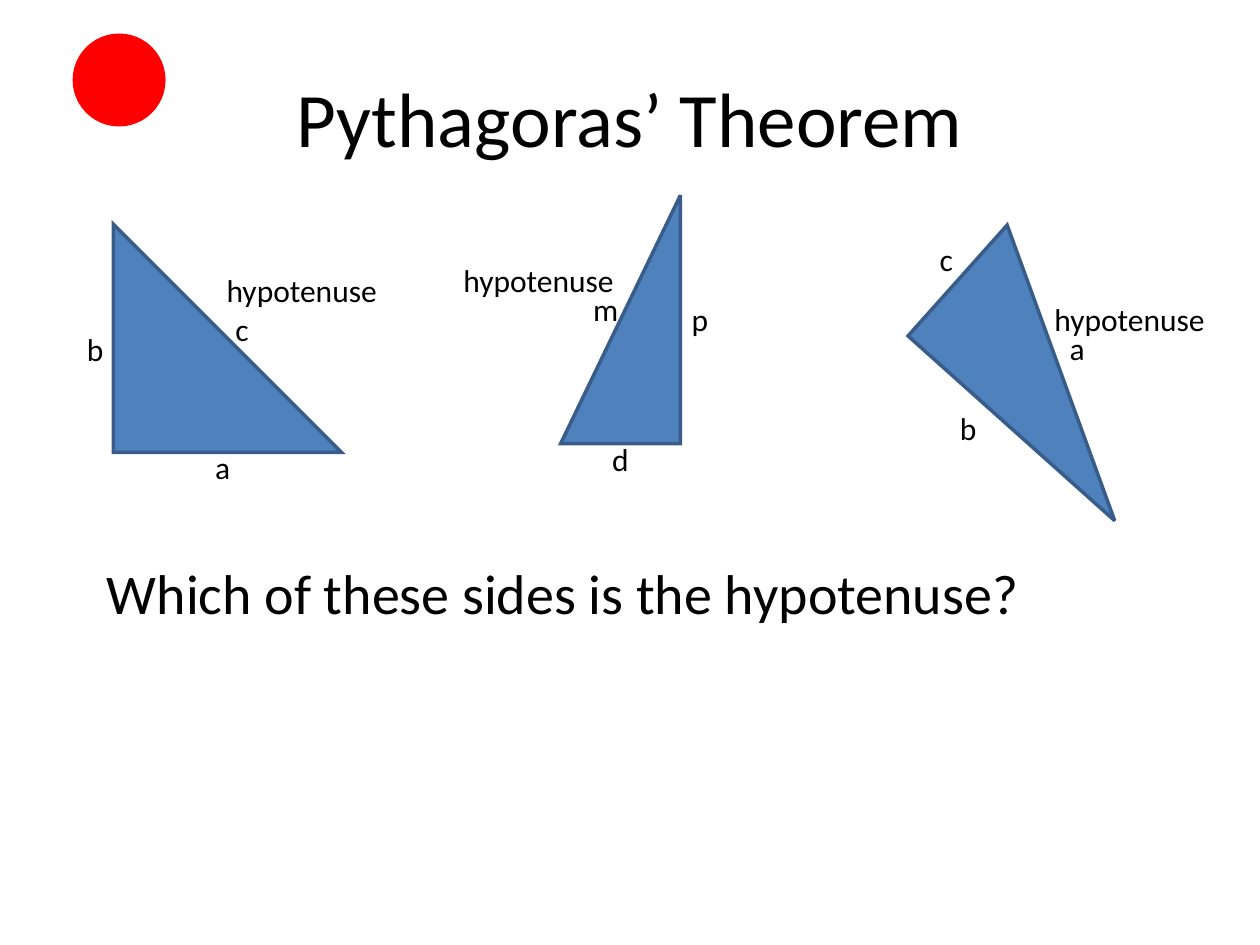
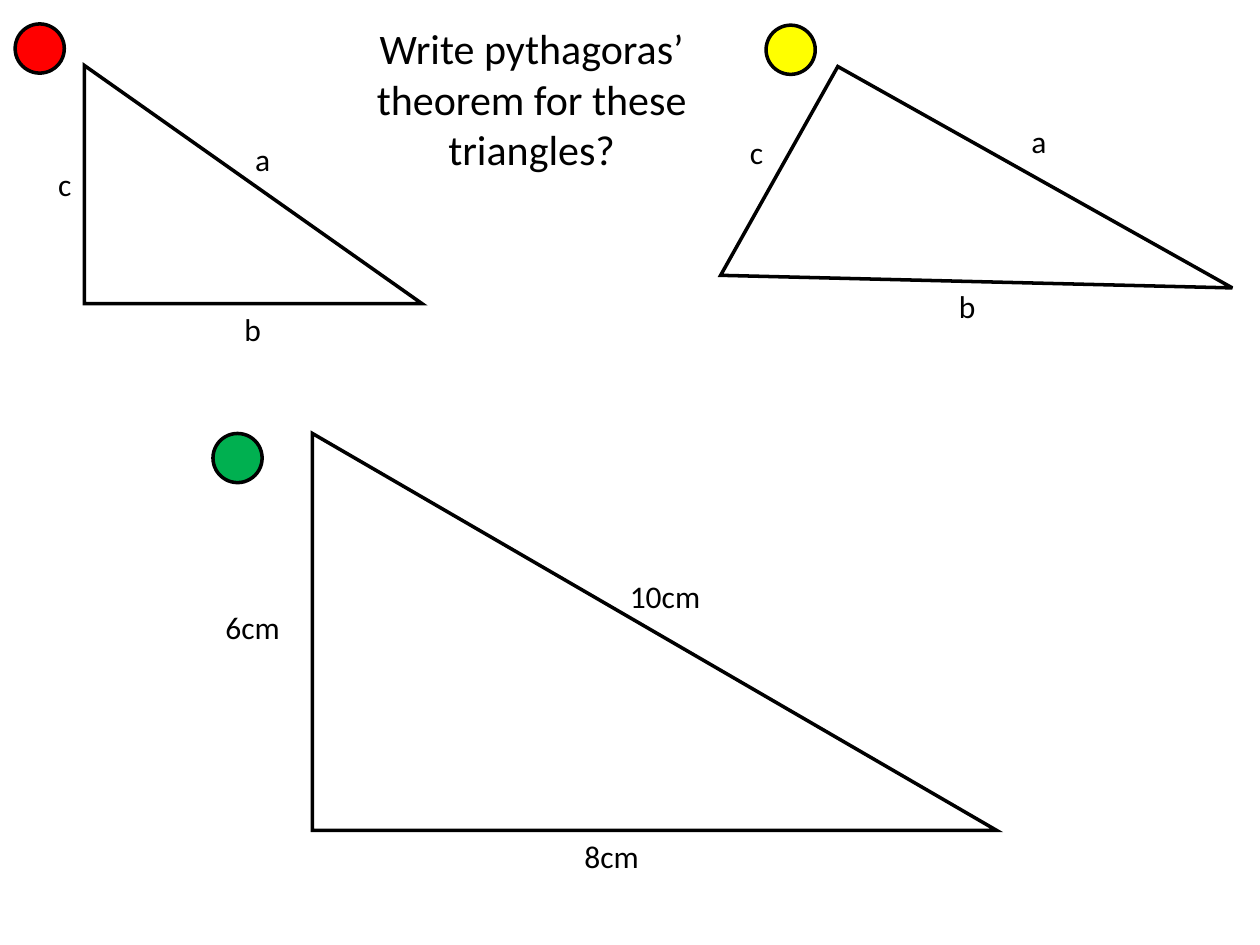
from pptx import Presentation
from pptx import util as u
from pptx.dml.color import RGBColor
from pptx.enum import shapes, text
from pptx.oxml import ns
from lxml import etree

BLACK = RGBColor(0x00, 0x00, 0x00)
WHITE = RGBColor(0xFF, 0xFF, 0xFF)
RED = RGBColor(0xFF, 0x00, 0x00)
YELLOW = RGBColor(0xFF, 0xFF, 0x00)
GREEN = RGBColor(0x00, 0xB0, 0x50)
BLUE = RGBColor(0x4F, 0x81, 0xBD)
DARK_BLUE = RGBColor(0x38, 0x5D, 0x8A)

SLIDE_WIDTH, SLIDE_HEIGHT = u.Inches(10), u.Inches(7.5)
COLUMN = SLIDE_WIDTH / 100
ROW = SLIDE_HEIGHT / 75
LABEL_ROWS = 4
TITLE_ONLY_LAYOUT = 5

LEFT, CENTER = text.PP_ALIGN.LEFT, text.PP_ALIGN.CENTER
TOP, MIDDLE = text.MSO_ANCHOR.TOP, text.MSO_ANCHOR.MIDDLE
TRIANGLE = shapes.MSO_SHAPE.RIGHT_TRIANGLE
CIRCLE = shapes.MSO_SHAPE.OVAL

# Each triangle: box (left, top, width, height), rotation,
# and side labels (words, left, top, width).
HYPOTENUSE_TRIANGLES = [
    ((9, 17.8, 18.1, 18.1), 0,
     [("a", 16.1, 35.1, 7.9), ("b", 5.9, 25.7, 7.1),
      ("c", 17.7, 24.1, 7.1), ("hypotenuse", 17, 21, 17.3)]),
    ((39.4, 20.6, 19.7, 9.5), 270,
     [("d", 47.6, 34.4, 3.9), ("p", 53.9, 23.3, 3.9),
      ("m", 46.1, 22.5, 4.2), ("hypotenuse", 35.8, 20.2, 17.3)]),
    ((73.2, 23.7, 22, 11.8), 41.8,
     [("c", 73.6, 18.6, 4.7), ("a", 83.9, 25.6, 4.7),
      ("b", 75.2, 32, 4.7), ("hypotenuse", 82.7, 23.3, 17.3)]),
]
LETTER_TRIANGLES = [
    ((6.7, 5.2, 26.8, 18.9), 0,
     [("b", 15.3, 24.1, 9.5), ("c", 0.4, 12.6, 9.5), ("a", 16.1, 10.6, 9.5)]),
    ((68, 4.4, 19, 35.9), 119.3,
     [("b", 72, 22.3, 9.5), ("c", 55.3, 10.1, 9.5), ("a", 77.7, 9.2, 9.5)]),
]
MEASURED_TRIANGLES = [
    ((24.8, 34.4, 54.3, 31.5), 0,
     [("6cm", 16.9, 47.8, 11.8), ("8cm", 45.4, 65.9, 11.8),
      ("10cm", 49, 45.3, 11.8)]),
]
LEVEL_MARKERS = [(RED, 1.2, 1.9), (YELLOW, 60.8, 2), (GREEN, 16.9, 34.4)]


def on_grid(left, top, width, height):
    """Turn columns and rows into slide lengths."""
    return [round(count * unit) for count, unit in
            zip((left, top, width, height), (COLUMN, ROW, COLUMN, ROW))]


def write(shape, words, size, align=LEFT, anchor=TOP):
    frame = shape.text_frame
    frame.text = words
    frame_format = {"word_wrap": True, "auto_size": text.MSO_AUTO_SIZE.NONE,
                    "vertical_anchor": anchor}
    for name, value in frame_format.items():
        setattr(frame, name, value)
    paragraph = frame.paragraphs[0]
    paragraph.alignment = align
    for name, value in {"name": "Calibri", "size": u.Pt(size)}.items():
        setattr(paragraph.font, name, value)
    paragraph.font.color.rgb = BLACK


def add_title_slide(presentation, words, box, size, anchor):
    layout = presentation.slide_layouts[TITLE_ONLY_LAYOUT]
    slide = presentation.slides.add_slide(layout)
    title = slide.shapes.title
    title.left, title.top, title.width, title.height = on_grid(*box)
    write(title, words, size, CENTER, anchor)
    return slide


def add_text(slide, words, box, size, align=LEFT):
    write(slide.shapes.add_textbox(*on_grid(*box)), words, size, align)


def add_figure(slide, kind, box, fill, line, rotation=0):
    """Add a filled shape with a sharp-cornered outline."""
    shape = slide.shapes.add_shape(kind, *on_grid(*box))
    shape.shadow.inherit = False
    shape.rotation = rotation
    shape.fill.solid()
    shape.fill.fore_color.rgb = fill
    shape.line.color.rgb = line
    shape.line.width = u.Pt(2)
    outline = shape.element.spPr.find(ns.qn("a:ln"))
    etree.SubElement(outline, ns.qn("a:miter"), lim="800000")


def add_triangles(slide, triangles, fill, line, align=LEFT):
    for box, rotation, labels in triangles:
        add_figure(slide, TRIANGLE, box, fill, line, rotation)
        for words, left, top, width in labels:
            add_text(slide, words, (left, top, width, LABEL_ROWS), 18, align)


def build_hypotenuse_slide(presentation):
    slide = add_title_slide(presentation, "Pythagoras’ Theorem",
                            (5, 3, 90, 12.5), 44, MIDDLE)
    add_figure(slide, CIRCLE, (5.9, 2.8, 7.1, 7.1), RED, RED)
    add_triangles(slide, HYPOTENUSE_TRIANGLES, BLUE, DARK_BLUE)
    add_text(slide, "Which of these sides is the hypotenuse?",
             (7.5, 43.8, 85.8, 6.4), 32)


def build_theorem_slide(presentation):
    slide = add_title_slide(presentation,
                            "Write pythagoras’ theorem for these triangles?",
                            (28, 1.3, 28.4, 13), 24, TOP)
    add_triangles(slide, LETTER_TRIANGLES, WHITE, BLACK, CENTER)
    add_triangles(slide, MEASURED_TRIANGLES, WHITE, BLACK)
    for color, left, top in LEVEL_MARKERS:
        add_figure(slide, CIRCLE, (left, top, 3.9, 3.9), color, BLACK)


def main():
    presentation = Presentation()
    presentation.slide_width = SLIDE_WIDTH
    presentation.slide_height = SLIDE_HEIGHT
    build_hypotenuse_slide(presentation)
    build_theorem_slide(presentation)
    presentation.save("out.pptx")


if __name__ == "__main__":
    main()
